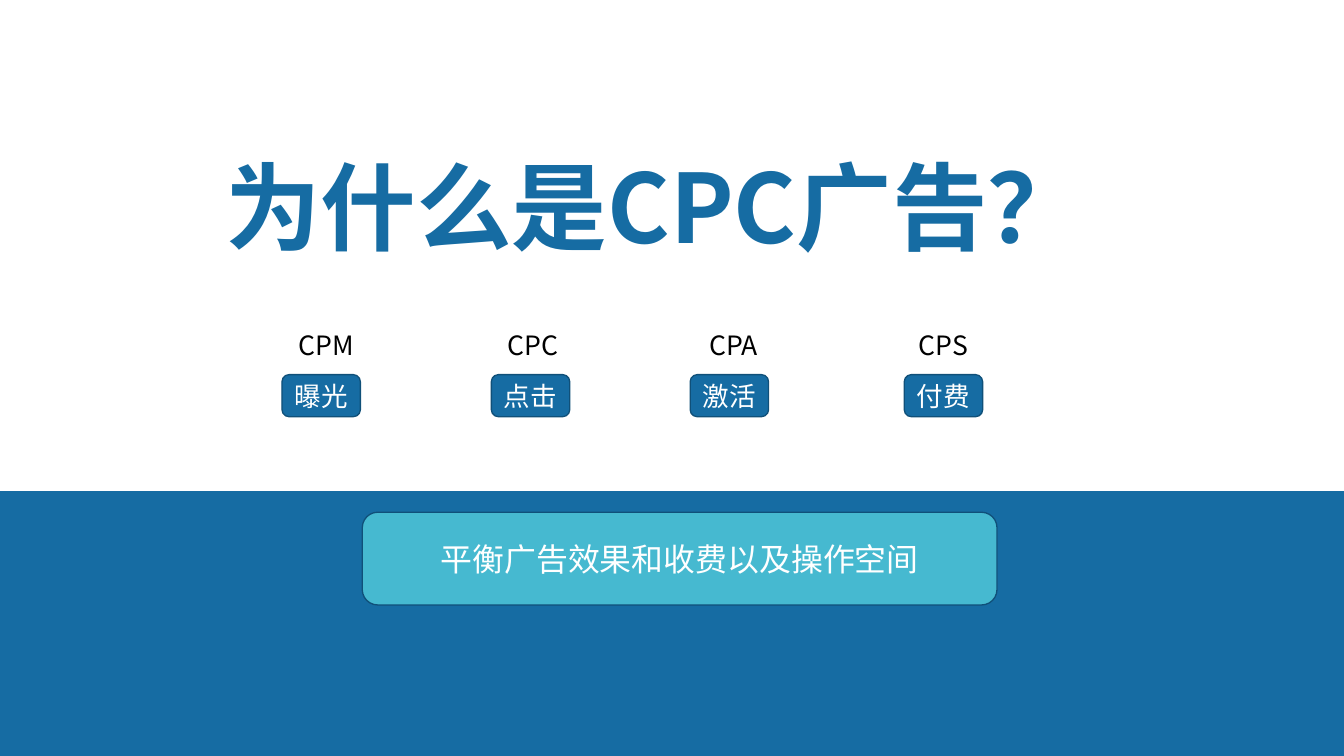
from dataclasses import dataclass

from lxml.etree import SubElement
from pptx import Presentation
from pptx.dml.color import RGBColor
from pptx.enum.shapes import MSO_SHAPE
from pptx.enum.text import MSO_ANCHOR, MSO_AUTO_SIZE, PP_ALIGN
from pptx.oxml.ns import qn
from pptx.util import Pt


@dataclass(frozen=True)
class Theme:
    font: str = "Noto Sans CJK SC"
    blue: str = "166CA3"
    edge: str = "105079"
    aqua: str = "46B9D0"
    white: str = "FFFFFF"
    black: str = "000000"
    title_size: int = 72
    message_size: int = 24
    label_size: int = 20


THEME = Theme()
SLIDE_W, SLIDE_H = 1012.32, 569.52
BAND_TOP = 370.08
LABEL_TOP, PILL_TOP = 244.08, 282.24
PILL_W, ROW_H = 59.04, 31.68
MODELS = [
    ("CPM", 216, 59.76, "曝光", 212.4),
    ("CPC", 375.12, 53.28, "点击", 370.08),
    ("CPA", 526.32, 52.56, "激活", 519.84),
    ("CPS", 684.72, 51.84, "付费", 681.12),
]


def color(value):
    return RGBColor.from_string(value)


def write(tf, text, size, ink, bold=False):
    p = tf.paragraphs[0]
    p.alignment = PP_ALIGN.CENTER
    r = p.add_run()
    r.text = text
    r.font.size = Pt(size)
    r.font.bold = bold
    r.font.name = THEME.font
    r.font.color.rgb = color(ink)
    SubElement(r.font._element, qn("a:ea"), typeface=THEME.font)


def add_box(s, kind, box, fill, edge=None):
    sp = s.shapes.add_shape(kind, *map(Pt, box))
    sp.shadow.inherit = False
    sp.fill.solid()
    sp.fill.fore_color.rgb = color(fill)
    if edge:
        sp.line.color.rgb = color(edge)
        sp.line.width = Pt(1)
    else:
        sp.line.fill.background()
    return sp


def add_pill(s, box, text, size, fill):
    sp = add_box(s, MSO_SHAPE.ROUNDED_RECTANGLE, box, fill, THEME.edge)
    tf = sp.text_frame
    tf.word_wrap = True
    tf.vertical_anchor = MSO_ANCHOR.MIDDLE
    write(tf, text, size, THEME.white)


def add_text(s, box, text, size, ink, bold=False, wrap=False):
    tf = s.shapes.add_textbox(*map(Pt, box)).text_frame
    tf.word_wrap = wrap
    tf.auto_size = MSO_AUTO_SIZE.SHAPE_TO_FIT_TEXT
    write(tf, text, size, ink, bold)
    return tf


def add_title(s, box, text):
    tf = add_text(s, box, text, THEME.title_size, THEME.blue, bold=True, wrap=True)
    tf.margin_left = tf.margin_right = tf.margin_top = tf.margin_bottom = Pt(0)


def main():
    prs = Presentation()
    prs.slide_width, prs.slide_height = Pt(SLIDE_W), Pt(SLIDE_H)
    s = prs.slides.add_slide(prs.slide_layouts[6])
    s.background.fill.solid()
    s.background.fill.fore_color.rgb = color(THEME.white)

    band = (0, BAND_TOP, SLIDE_W, SLIDE_H - BAND_TOP)
    add_box(s, MSO_SHAPE.RECTANGLE, band, THEME.blue)
    add_title(s, (142.56, 111.6, 700.56, 87.12), "为什么是CPC广告？")
    add_pill(s, (272.88, 385.92, 478.08, 69.84), "平衡广告效果和收费以及操作空间",
             THEME.message_size, THEME.aqua)
    for label, label_left, label_w, action, pill_left in MODELS:
        add_pill(s, (pill_left, PILL_TOP, PILL_W, ROW_H), action,
                 THEME.label_size, THEME.blue)
        add_text(s, (label_left, LABEL_TOP, label_w, ROW_H), label,
                 THEME.label_size, THEME.black)
    prs.save("out.pptx")


if __name__ == "__main__":
    main()
